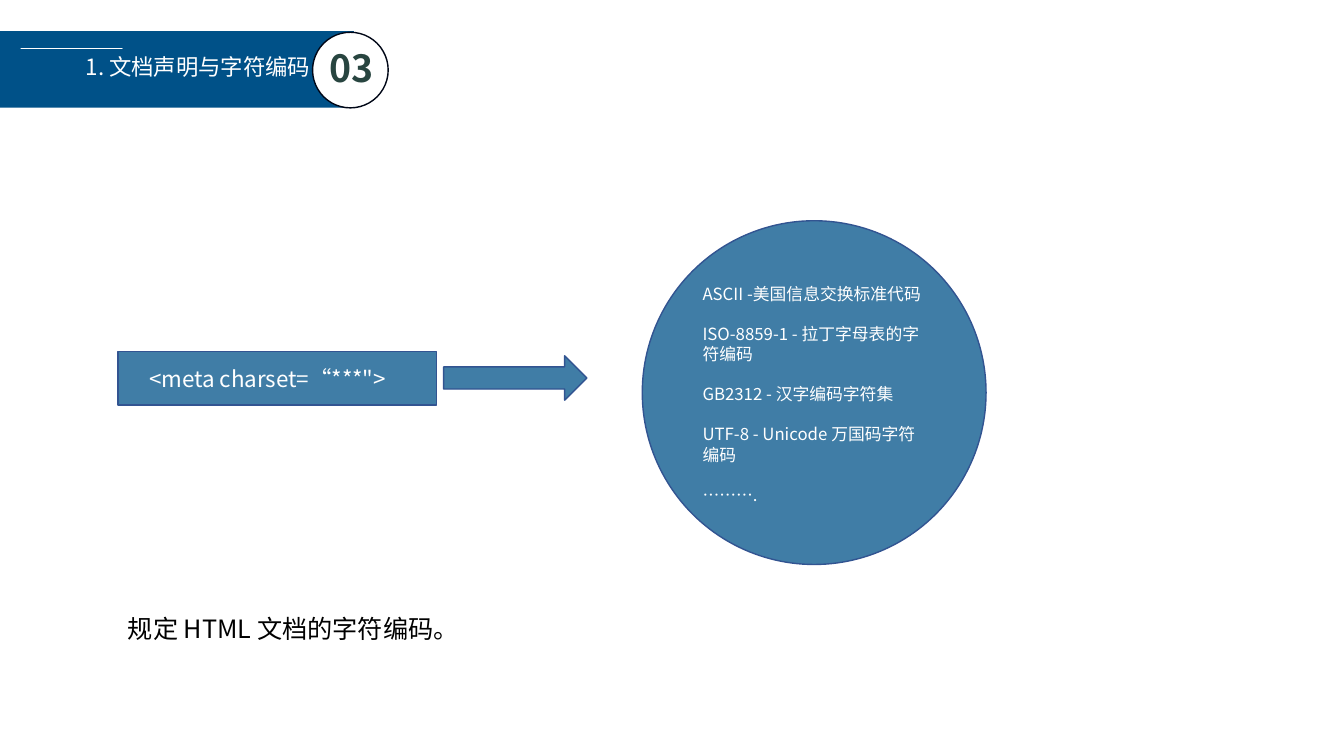
from pptx import Presentation
from pptx import util as u
from pptx.dml.color import RGBColor
from pptx.enum import shapes, text

FONT = "Noto Sans CJK SC"
NAVY = RGBColor(0x00, 0x51, 0x88)
BLUE = RGBColor(0x40, 0x7D, 0xA6)
EDGE = RGBColor(0x32, 0x54, 0x91)
INK = RGBColor(0x00, 0x07, 0x17)
GREEN = RGBColor(0x28, 0x45, 0x40)
WHITE = RGBColor(0xFF, 0xFF, 0xFF)
BLACK = RGBColor(0x00, 0x00, 0x00)
SHAPE = shapes.MSO_SHAPE
ANCHOR = text.MSO_ANCHOR
ALIGN = text.PP_ALIGN
ENCODINGS = [
    "ASCII -美国信息交换标准代码",
    "ISO-8859-1 - 拉丁字母表的字符编码",
    "GB2312 - 汉字编码字符集",
    "UTF-8 - Unicode 万国码字符编码",
    "……….",
]


def write(sp, lines, size, color, bold=False, align=ALIGN.LEFT,
          anchor=ANCHOR.TOP, left=0.1, top=0.05, pitch=None, gap=0):
    """Fill a shape with one formatted paragraph per line."""
    tf = sp.text_frame
    tf.word_wrap = True
    tf.auto_size = text.MSO_AUTO_SIZE.NONE
    tf.vertical_anchor = anchor
    tf.margin_left, tf.margin_right = u.Inches(left), u.Inches(0.1)
    tf.margin_top, tf.margin_bottom = u.Inches(top), u.Inches(0.05)
    for i, line in enumerate(lines):
        p = tf.add_paragraph() if i else tf.paragraphs[0]
        p.alignment = align
        p.line_spacing = u.Pt(pitch) if pitch else 1.0
        p.space_before = u.Pt(gap if i else 0)
        r = p.add_run()
        r.text = line
        r.font.name, r.font.size, r.font.bold = FONT, u.Pt(size), bold
        r.font.color.rgb = color
        r._r.get_or_add_rPr().get_or_add_latin().addnext(
            r._r.rPr.makeelement(
                "{http://schemas.openxmlformats.org/drawingml/2006/main}ea",
                {"typeface": FONT}))


def add_box(s, kind, x, y, w, h, fill, line=None):
    """Add a flat preset shape."""
    sp = s.shapes.add_shape(kind, *map(u.Inches, (x, y, w, h)))
    sp.shadow.inherit = False
    sp.fill.solid()
    sp.fill.fore_color.rgb = fill
    if line is None:
        sp.line.fill.background()
    else:
        sp.line.color.rgb = line
        sp.line.width = u.Pt(1)
    return sp


def add_label(s, x, y, w, h, line, **fmt):
    """Add a text box with a single line."""
    sp = s.shapes.add_textbox(*map(u.Inches, (x, y, w, h)))
    write(sp, [line], **fmt)


def add_books(s, x, y):
    """Draw the outlined stack of books with its corner at x, y."""
    page = [(0.51, 0.15), (0.52, 0.13), (0.5, 0.12), (0.28, 0.23),
            (0.05, 0.18), (0.03, 0.15), (0.06, 0.13), (0.28, 0.18)]
    cover = [(0.5, 0.07), (0.49, 0.05), (0.28, 0.01), (0.23, 0.01),
             (0.03, 0.11), (0, 0.14), (0.02, 0.2), (0, 0.23),
             (0.02, 0.28), (0, 0.31), (0.04, 0.37), (0.29, 0.42)]
    window = [(0.27, 0.05), (0.37, 0.07), (0.33, 0.09), (0.23, 0.07)]
    upper, middle, lower = ([(px, py + drop) for px, py in page]
                            for drop in (0, 0.08, 0.16))
    outline = [lower[-1]] + middle + upper + cover + lower[:-1]
    fb = s.shapes.build_freeform(*outline[0], scale=u.Inches(1))
    fb.add_line_segments(outline[1:])
    fb.move_to(*window[0])
    fb.add_line_segments(window[1:])
    sp = fb.convert_to_shape(u.Inches(x), u.Inches(y))
    sp.shadow.inherit = False
    sp.fill.background()
    sp.line.color.rgb = WHITE
    sp.line.width = u.Pt(1)


def add_header(s, x, y, w, h, title, number):
    """Place the title bar, its number disc and the book icon."""
    add_box(s, SHAPE.RECTANGLE, x, y, w, h, NAVY)
    add_box(s, SHAPE.OVAL, x + w - 0.41, y + 0.01, 0.75, 0.75, WHITE, INK)
    add_label(s, x + w - 0.39, y + 0.09, 0.74, 0.55, number, size=26.7,
              color=GREEN, bold=True, align=ALIGN.CENTER)
    sp = s.shapes.title
    sp.left, sp.top = u.Inches(x + 0.75), u.Inches(y + 0.17)
    sp.width, sp.height = u.Inches(2.53), u.Inches(1.72)
    write(sp, [title], size=16, color=WHITE)
    sp.element.getparent().append(sp.element)
    add_books(s, x + 0.21, y + 0.17)


def add_charset_diagram(s, x, y):
    """Place the meta tag, the arrow and the disc of encodings."""
    sp = add_box(s, SHAPE.RECTANGLE, x, y + 1.3, 3.16, 0.53, BLUE, EDGE)
    write(sp, ['<meta charset=“***">'], size=16, color=WHITE,
          anchor=ANCHOR.MIDDLE, left=0.31)
    add_box(s, SHAPE.RIGHT_ARROW, x + 3.23, y + 1.34, 1.42, 0.44, BLUE, EDGE)
    sp = add_box(s, SHAPE.OVAL, x + 5.2, y, 3.41, 3.41, BLUE, EDGE)
    write(sp, ENCODINGS, size=12, color=WHITE, top=0.12, pitch=14.6, gap=14)


def main():
    """Build and save the slide."""
    prs = Presentation()
    prs.slide_width, prs.slide_height = u.Inches(13.33), u.Inches(7.5)
    s = prs.slides.add_slide(prs.slide_layouts[5])
    add_header(s, 0, 0.31, 3.51, 0.76, "1. 文档声明与字符编码", "03")
    add_charset_diagram(s, 1.17, 2.19)
    add_label(s, 1.17, 6.04, 5.8, 0.4, "规定 HTML 文档的字符编码。",
              size=18, color=BLACK)
    prs.save("out.pptx")


if __name__ == "__main__":
    main()
